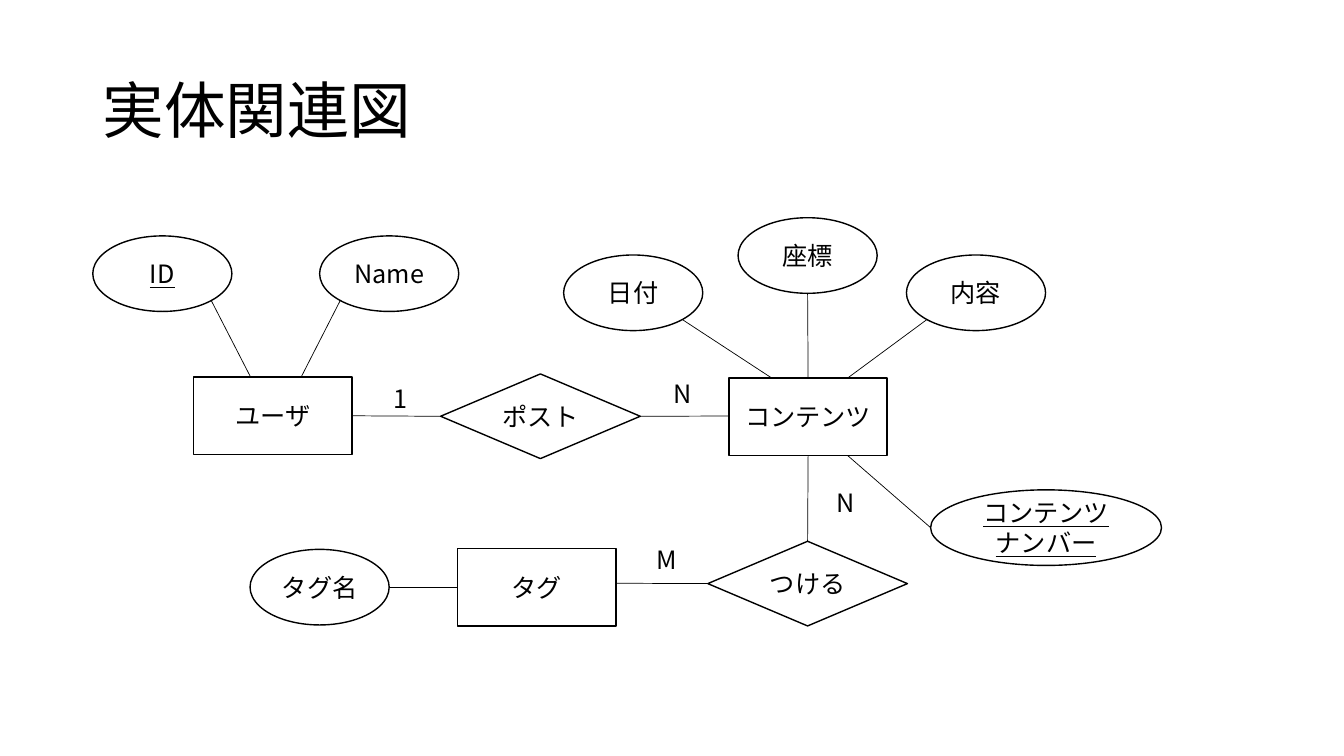
import pptx
import pptx.util
import pptx.dml.color
import pptx.enum.shapes
import pptx.enum.text
import pptx.oxml.ns
import lxml.etree

SHAPES = pptx.enum.shapes.MSO_SHAPE
ANCHOR = pptx.enum.text.MSO_ANCHOR
ALIGN = pptx.enum.text.PP_ALIGN


def color(code):
    return pptx.dml.color.RGBColor.from_string(code)


class Diagram:
    """Draws entity-relationship elements on a grid of 0.1-inch columns and rows."""

    FONT = "Noto Sans CJK SC"
    INK = "000000"
    CELL = pptx.util.Inches(0.1)
    NEAR, FAR = 0.15, 0.85

    def __init__(self, slide):
        self.slide = slide

    def cells(self, *counts):
        return [round(count * self.CELL) for count in counts]

    def set_text(self, box, text, size, align, underline=None):
        box.text_frame.text = text
        for para in box.text_frame.paragraphs:
            para.alignment = align
            for span in para.runs:
                span.font.size = pptx.util.Pt(size)
                span.font.name = self.FONT
                span.font.underline = underline
                span.font.color.rgb = color(self.INK)
                properties = span._r.get_or_add_rPr()
                east_asian = lxml.etree.SubElement(properties, pptx.oxml.ns.qn("a:ea"))
                east_asian.set("typeface", self.FONT)

    def title(self, text, left, top, width, height):
        box = self.slide.shapes.add_textbox(*self.cells(left, top, width, height))
        box.text_frame.word_wrap = True
        box.text_frame.vertical_anchor = ANCHOR.MIDDLE
        self.set_text(box, text, 44, ALIGN.LEFT)
        box.text_frame.paragraphs[0].line_spacing = 0.9

    def label(self, text, left, top, width):
        box = self.slide.shapes.add_textbox(*self.cells(left, top, width, 4))
        box.text_frame.word_wrap = False
        self.set_text(box, text, 18, ALIGN.LEFT)

    def node(self, kind, text, left, top, width, height, underline=None):
        box = self.slide.shapes.add_shape(kind, *self.cells(left, top, width, height))
        box.shadow.inherit = False
        box.fill.background()
        box.line.color.rgb = color(self.INK)
        box.line.width = pptx.util.Pt(1)
        box.text_frame.word_wrap = True
        box.text_frame.vertical_anchor = ANCHOR.MIDDLE
        self.set_text(box, text, 18, ALIGN.CENTER, underline)
        return box

    def entity(self, text, left, top):
        return self.node(SHAPES.RECTANGLE, text, left, top, 15.7, 7.7)

    def relation(self, text, left, top):
        return self.node(SHAPES.DIAMOND, text, left, top, 19.8, 8.4)

    def attribute(self, text, left, top, width=13.8, key=None):
        return self.node(SHAPES.OVAL, text, left, top, width, 7.5, key)

    def link(self, start, start_share, end, end_share):
        points = []
        for box, (across, down) in ((start, start_share), (end, end_share)):
            points += [round(box.left + across * box.width), round(box.top + down * box.height)]
        line = self.slide.shapes.add_connector(pptx.enum.shapes.MSO_CONNECTOR.STRAIGHT, *points)
        line.line.color.rgb = color(self.INK)
        line.line.width = pptx.util.Pt(0.5)
        properties = line._element.find(pptx.oxml.ns.qn("p:spPr"))
        lxml.etree.SubElement(properties, pptx.oxml.ns.qn("a:effectLst"))


def main():
    deck = pptx.Presentation()
    deck.slide_width = pptx.util.Inches(13.33)
    deck.slide_height = pptx.util.Inches(7.5)
    page = Diagram(deck.slides.add_slide(deck.slide_layouts[6]))

    page.title("実体関連図", 9.2, 4, 115, 14.5)

    user = page.entity("ユーザ", 19.2, 37.4)
    content = page.entity("コンテンツ", 72.3, 37.5)
    tag = page.entity("タグ", 45.4, 54.4)
    post = page.relation("ポスト", 43.7, 37.1)
    attach = page.relation("つける", 70.2, 53.7)

    user_id = page.attribute("ID", 9.2, 23.4, key=True)
    user_name = page.attribute("Name", 31.7, 23.4)
    date = page.attribute("日付", 55.9, 25.3)
    place = page.attribute("座標", 73.2, 21.6)
    body = page.attribute("内容", 89.9, 25.3)
    number = page.attribute("コンテンツ\nナンバー", 92.3, 48.6, width=22.9, key=True)
    tag_name = page.attribute("タグ名", 24.8, 54.5)

    top, bottom, left, right = (0.5, 0), (0.5, 1), (0, 0.5), (1, 0.5)
    lower_left, lower_right = (page.NEAR, page.FAR), (page.FAR, page.FAR)
    for start, start_share, end, end_share in (
        (user_id, lower_right, user, (0.36, 0)),
        (user_name, lower_left, user, (0.68, 0)),
        (date, lower_right, content, (0.27, 0)),
        (place, bottom, content, top),
        (body, lower_left, content, (0.75, 0)),
        (content, (0.75, 1), number, left),
        (user, right, post, left),
        (post, right, content, (0, 0.49)),
        (content, bottom, attach, top),
        (tag, (1, 0.45), attach, left),
        (tag_name, right, tag, left),
    ):
        page.link(start, start_share, end, end_share)

    for text, column, row, width in (
        ("1", 38, 37.5, 3.4),
        ("N", 65.8, 37, 3.9),
        ("N", 82, 47.9, 3.9),
        ("M", 64.1, 53.5, 4.2),
    ):
        page.label(text, column, row, width)

    deck.save("out.pptx")


if __name__ == "__main__":
    main()
